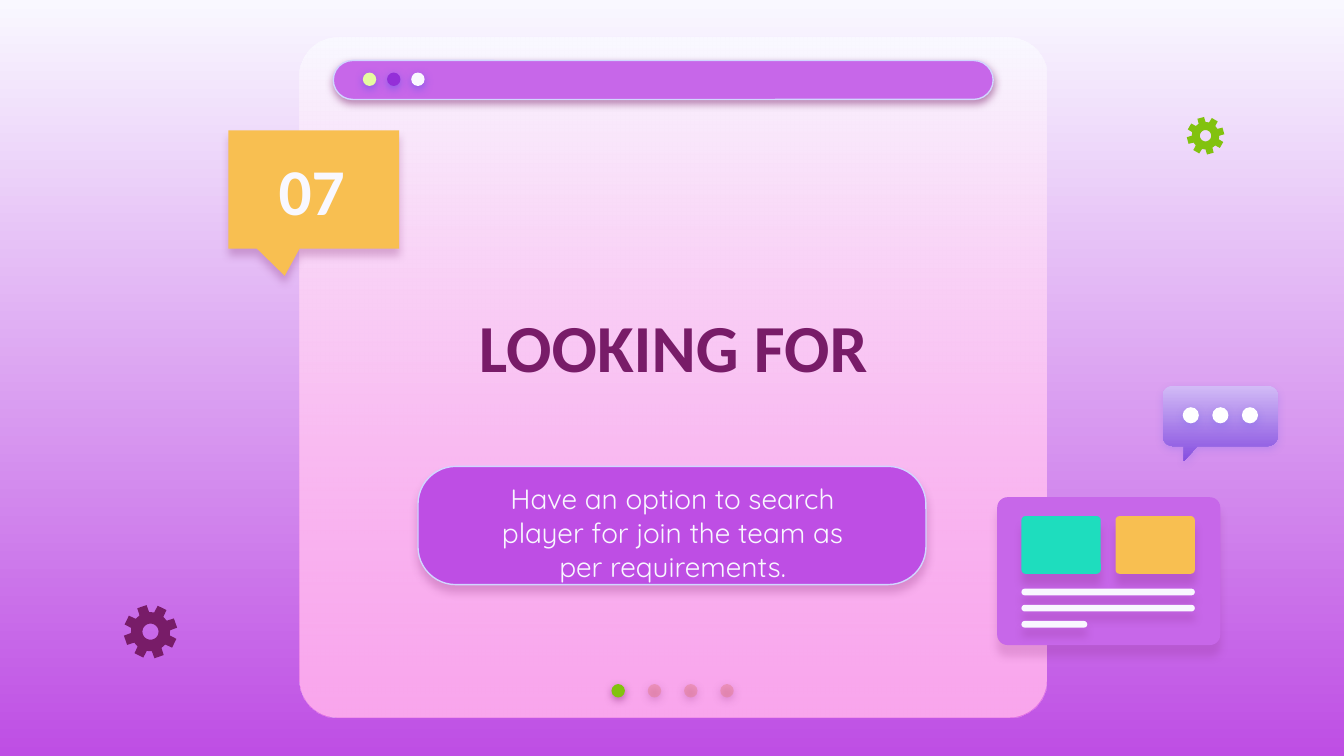
from math import cos, radians, sin

from lxml.etree import SubElement
from pptx import Presentation
from pptx.dml.color import RGBColor
from pptx.enum.shapes import MSO_SHAPE as Kind
from pptx.enum.text import MSO_ANCHOR as Anchor, MSO_AUTO_SIZE as Auto, PP_ALIGN as Align
from pptx.oxml.ns import qn
from pptx.util import Inches, Pt

# Content: words, place and format
TITLE = dict(words="LOOKING FOR", at=(2.71, 1.66, 4.6, 1.82),
             font=dict(name="Calibri", size=Pt(36), bold=True), ink="781C68")
BODY = dict(words="Have an option to search player for join the team as per requirements.",
            at=(3.5, 3.57, 3.01, 0.78),
            font=dict(name="Quicksand", size=Pt(15), bold=False), ink="F9F8FF")
NUMBER = dict(words="07", at=(1.79, 1.02, 1.06, 0.78), anchor=Anchor.BOTTOM,
              font=dict(name="Calibri", size=Pt(35), bold=True), ink="F9F8FF")

# Colours and shadows (colour, alpha %, blur pt, drop pt)
WHITE, PLUM, LILAC, VIOLET = "F9F8FF", "781C68", "C767E9", "BE4EE4"
GOLD, TEAL, GREEN, EDGE = "F8BF51", "1EDDBE", "82C20F", "D2D6FF"
NEAR, GLOW, SOFT = (PLUM, 50, 4.5, 1.5), ("5352EE", 50, 4.5, 1.5), ("5352EE", 18, 4.5, 1.5)

BAR_DOTS = ["E6FBA0", "942FD8", WHITE]
PAGE_DOTS = [(GREEN, 100)] + [("E27B83", 44)] * 3
TILES = [TEAL, GOLD]
LINES = [1.29, 1.29, 0.49]
GEARS = [(1.12, 4.7, 0.2, 26, PLUM), (8.97, 1.01, 0.14, 30, GREEN)]


def tint(color, code):
    color.rgb = RGBColor.from_string(code)


def fade(fill, top, low):
    fill.gradient()
    fill.gradient_angle = 270
    for stop, code in zip(fill.gradient_stops, (top, low)):
        tint(stop.color, code)


def paint(shape, fill, alpha=100, edge=None, shade=None):
    props = shape._element.spPr
    if isinstance(fill, tuple):
        fade(shape.fill, *fill)
    else:
        shape.fill.solid()
        tint(shape.fill.fore_color, fill)
    if alpha < 100:  # applies to the last colour of the fill
        node = props.findall(".//" + qn("a:srgbClr"))[-1]
        SubElement(node, qn("a:alpha"), val=str(alpha * 1000))
    if edge:
        tint(shape.line.color, edge)
        shape.line.width = Pt(0.75)
    else:
        shape.line.fill.background()
    shape.shadow.inherit = False
    if shade:
        code, part, blur, drop = shade
        node = SubElement(props.find(qn("a:effectLst")), qn("a:outerShdw"),
                          blurRad=str(Pt(blur)), dist=str(Pt(drop)),
                          dir="5400000", algn="bl", rotWithShape="0")
        hue = SubElement(node, qn("a:srgbClr"), val=code)
        SubElement(hue, qn("a:alpha"), val=str(part * 1000))


def add(kind, at, fill, adj=(), **look):
    shape = shapes.add_shape(kind, *map(Inches, at))
    for i, val in enumerate(adj):
        shape.adjustments[i] = val
    paint(shape, fill, **look)


def outline(rings, fill, **look):
    first, *rest = [[(Inches(x), Inches(y)) for x, y in ring] for ring in rings]
    pen = shapes.build_freeform(*first[0])
    pen.add_line_segments(first[1:])
    for ring in rest:
        pen.move_to(*ring[0])
        pen.add_line_segments(ring[1:])
    paint(pen.convert_to_shape(), fill, **look)


def spot(x, y, r, deg):
    return x + r * cos(radians(deg)), y + r * sin(radians(deg))


def arc(x, y, r, start, span=90, step=10):
    return [spot(x, y, r, start + d) for d in range(0, span + 1, step)]


def write(shape, words, at, font, ink, anchor=Anchor.MIDDLE):
    shape.left, shape.top, shape.width, shape.height = map(Inches, at)
    frame = shape.text_frame
    frame.text = words
    form = dict(word_wrap=True, auto_size=Auto.NONE, vertical_anchor=anchor)
    form.update({f"margin_{side}": Inches(0.1) for side in ("left", "top", "right", "bottom")})
    line = frame.paragraphs[0]
    lay = dict(alignment=Align.CENTER, space_before=Pt(0))
    for item, vals in ((frame, form), (line, lay), (line.runs[0].font, font)):
        for key, val in vals.items():
            setattr(item, key, val)
    tint(line.runs[0].font.color, ink)
    shapes._spTree.append(shape._element)  # bring to the front


deck = Presentation()
deck.slide_width, deck.slide_height = Inches(10), Inches(10 * 9 / 16)
slide = deck.slides.add_slide(deck.slide_layouts[0])
shapes = slide.shapes
fade(slide.background.fill, WHITE, VIOLET)

# Window panel, top bar and dots
ROUND, OVAL = Kind.ROUNDED_RECTANGLE, Kind.OVAL
panel = (2.23, 0.28, 5.56, 5.06)
add(ROUND, panel, WHITE, [0.056])
add(ROUND, panel, (WHITE, "FA77E3"), [0.056], alpha=63)
for i, (fill, alpha) in enumerate(PAGE_DOTS):
    add(OVAL, (4.55 + i * 0.27, 5.09, 0.1, 0.1), fill, alpha=alpha, shade=NEAR)
add(ROUND, (2.48, 0.45, 4.91, 0.29), LILAC, [0.5], edge=EDGE, shade=NEAR)
for i, fill in enumerate(BAR_DOTS):
    add(OVAL, (2.7 + i * 0.18, 0.54, 0.1, 0.1), fill, shade=GLOW)

# Number callout, title and text pill
add(Kind.ROUNDED_RECTANGULAR_CALLOUT, (1.7, 0.97, 1.27, 0.88), GOLD,
    [-0.17, 0.73, 0], shade=(PLUM, 25, 4.5, 3.8))
add(ROUND, (3.11, 3.47, 3.78, 0.88), VIOLET, [0.32], edge=EDGE, shade=(PLUM, 24, 4.5, 3.8))
write(shapes.title, **TITLE)
write(slide.placeholders[1], **BODY)

# Card with tiles and lines
add(ROUND, (7.42, 3.7, 1.66, 1.1), LILAC, [0.07], shade=(PLUM, 17, 4.5, 6))
for i, fill in enumerate(TILES):
    add(ROUND, (7.6 + i * 0.7, 3.84, 0.59, 0.43), fill, [0.07], shade=(PLUM, 20, 4.5, 6))
for i, wide in enumerate(LINES):
    add(ROUND, (7.6, 4.38 + i * 0.12, wide, 0.05), WHITE, [0.5], shade=(PLUM, 21, 4.5, 4.5))

# Chat bubble
left, top, right, low, r = 8.65, 2.87, 9.51, 3.32, 0.08
bubble = (arc(right - r, top + r, r, 270) + arc(right - r, low - r, r, 0)
          + [(8.91, low), (8.81, 3.43), (8.81, low)]
          + arc(left + r, low - r, r, 90) + arc(left + r, top + r, r, 180))
outline([bubble], ("D2BBF6", "864EE0"), shade=SOFT)
for i in range(3):
    add(OVAL, (8.8 + i * 0.22, 3.03, 0.12, 0.12), "FFFFFF", shade=SOFT)

# Gears: eight teeth around a hole
for x, y, size, turn, fill in GEARS:
    rim = [spot(x, y, size * part, turn + 45 * i + deg) for i in range(8)
           for part, deg in ((0.73, -15), (1, -10.5), (1, 10.5), (0.73, 15))]
    outline([rim, arc(x, y, size * 0.3, 0, 350)[::-1]], fill)

write(shapes.add_textbox(0, 0, 0, 0), **NUMBER)
deck.save("out.pptx")
